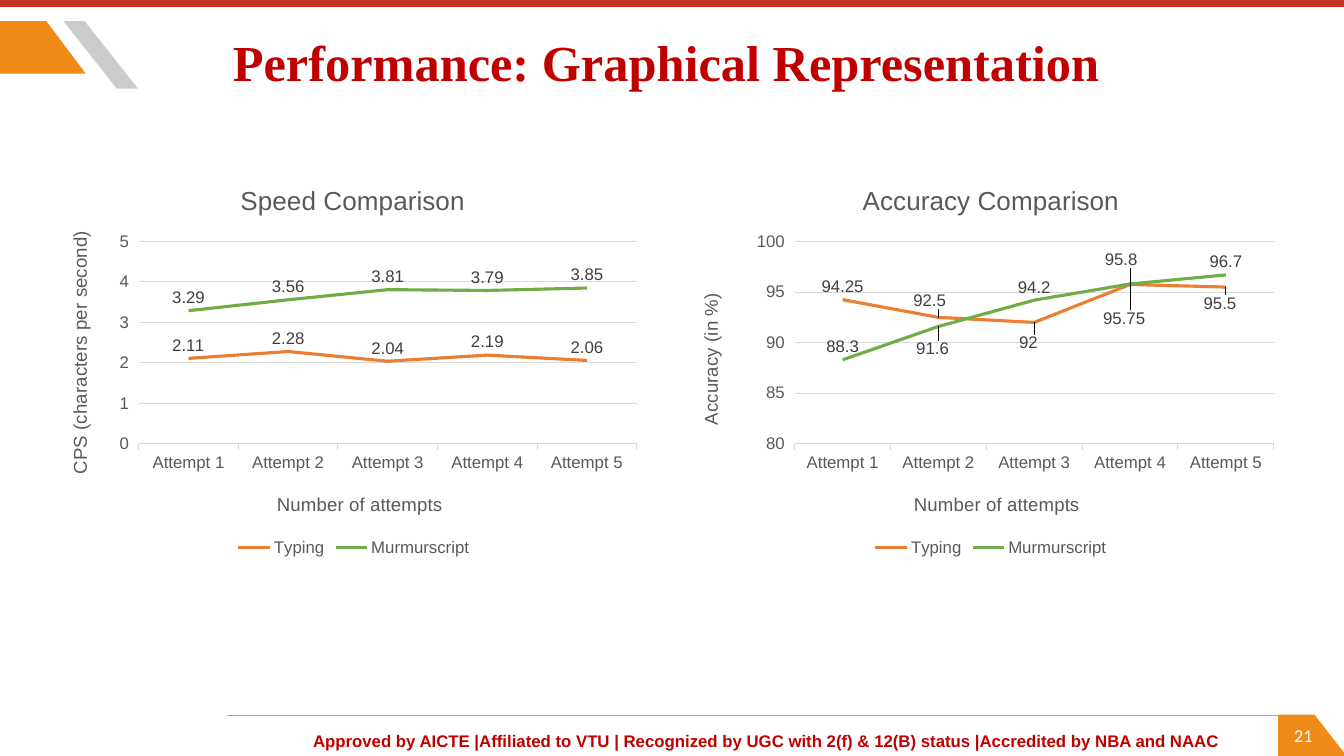
from lxml import etree
from pptx import Presentation, util as u
from pptx.chart.data import CategoryChartData
from pptx.dml.color import RGBColor
from pptx.enum import chart as ch, shapes, text
from pptx.oxml.ns import qn

RED = RGBColor(0xC0, 0x00, 0x00)
BAR_RED = RGBColor(0xC4, 0x37, 0x27)
ORANGE = RGBColor(0xF1, 0x8B, 0x17)
GREY = RGBColor(0x7F, 0x7F, 0x7F)
RULE_GREY = RGBColor(0xA5, 0xA5, 0xA5)
WHITE = RGBColor(0xFF, 0xFF, 0xFF)
AXIS_TEXT = RGBColor(0x59, 0x59, 0x59)
LABEL_TEXT = RGBColor(0x40, 0x40, 0x40)
GRID_LINE = RGBColor(0xD9, 0xD9, 0xD9)
SERIES_COLOURS = [RGBColor(0xED, 0x7D, 0x31), RGBColor(0x70, 0xAD, 0x47)]

# The slide is a grid of cells a tenth of an inch wide and high.
CELL = u.Inches(0.1)
COLUMNS, ROWS = 133.33, 75

TITLE = "Performance: Graphical Representation"
FOOTER = ("Approved by AICTE |Affiliated to VTU | Recognized by UGC with 2(f) & 12(B) status "
          "|Accredited by NBA and NAAC")
PAGE = "21"
ATTEMPTS = [f"Attempt {number}" for number in range(1, 6)]
CATEGORY_TITLE = "Number of attempts"
SERIES_NAMES = ["Typing", "Murmurscript"]

# Corner points in cells, fill, alpha in percent
ORNAMENTS = [
    ([(4.6, 2.1), (0, 2.1), (0, 7.3), (8.5, 7.3)], ORANGE, 100),
    ([(8.4, 2.1), (6.3, 2.1), (11.6, 8.8), (13.7, 8.8)], GREY, 40),
    ([(130.4, 70.9), (126.8, 70.9), (126.8, 75), (133.6, 75)], ORANGE, 100),
]

# Layouts are shares of the chart; "moved" shifts single labels, also in shares,
# by (series, point).
CHART_TOP, CHART_WIDTH, CHART_HEIGHT = 16.5, 58.6, 39.1
CHARTS = [
    dict(left=5.8, title="Speed Comparison", value_title="CPS (characters per second)",
         scale=(0, 5, 1),
         values=[[2.11, 2.28, 2.04, 2.19, 2.06], [3.29, 3.56, 3.81, 3.79, 3.85]],
         title_at=(0.3, 0.03), value_title_at=(0.01, 0.155),
         plot=(0.136, 0.191, 0.843, 0.513), moved={}),
    dict(left=69, title="Accuracy Comparison", value_title="Accuracy (in %)",
         scale=(80, 100, 5),
         values=[[94.25, 92.5, 92, 95.75, 95.5], [88.3, 91.6, 94.2, 95.8, 96.7]],
         title_at=(0.275, 0.03), value_title_at=(0, 0.313),
         plot=(0.168, 0.191, 0.811, 0.513),
         moved={(0, 1): (-0.015, -0.01), (0, 2): (-0.01, 0.085), (0, 3): (-0.01, 0.12),
                (0, 4): (-0.01, 0.075), (1, 1): (-0.01, 0.09), (1, 3): (-0.015, -0.03)}),
]
CATEGORY_TITLE_AT = (0.364, 0.82)

NO_LEADER_LINES = (
    '<c:extLst xmlns:c="http://schemas.openxmlformats.org/drawingml/2006/chart">'
    '<c:ext uri="{CE6537A1-D6FC-4f65-9D91-7224C49458BB}" '
    'xmlns:c15="http://schemas.microsoft.com/office/drawing/2012/chart">'
    '<c15:showLeaderLines val="0"/></c:ext></c:extLst>')


def cells(*lengths):
    return [round(length * CELL) for length in lengths]


def style_font(font, size, colour, name="Arial", bold=False):
    font.size, font.name, font.bold = u.Pt(size), name, bold
    font.color.rgb = colour


def add_text(slide, box, content, anchor=text.MSO_ANCHOR.TOP, **style):
    frame = slide.shapes.add_textbox(*cells(*box)).text_frame
    frame.word_wrap, frame.vertical_anchor = True, anchor
    paragraph = frame.paragraphs[0]
    paragraph.alignment = text.PP_ALIGN.CENTER
    run = paragraph.add_run()
    run.text = content
    style_font(run.font, **style)


def paint(shape, colour, alpha=100):
    shape.shadow.inherit = False
    shape.fill.solid()
    shape.fill.fore_color.rgb = colour
    shape.line.fill.background()
    if alpha < 100:
        for node in shape.element.xpath("./p:spPr/a:solidFill/a:srgbClr"):
            etree.SubElement(node, qn("a:alpha")).set("val", str(alpha * 1000))


def add_ornament(slide, corners, colour, alpha):
    points = [(x * 10, y * 10) for x, y in corners]
    builder = slide.shapes.build_freeform(*points[0], scale=CELL / 10)
    builder.add_line_segments(points[1:], close=True)
    paint(builder.convert_to_shape(), colour, alpha)


def set_layout(parent, index, shares, fixed=True):
    """Give a chart part a manual layout; an offset from its usual place if not fixed."""
    for old in parent.findall(qn("c:layout")):
        parent.remove(old)
    layout = etree.Element(qn("c:layout"))
    manual = etree.SubElement(layout, qn("c:manualLayout"))
    settings = []
    if len(shares) == 4:
        settings.append(("layoutTarget", "inner"))
    if fixed:
        settings += [("xMode", "edge"), ("yMode", "edge")]
    for tag, value in settings + list(zip("xywh", shares)):
        etree.SubElement(manual, qn(f"c:{tag}")).set("val", str(value))
    parent.insert(index, layout)


def set_title(frame, content, size):
    frame.text = content
    style_font(frame.paragraphs[0].runs[0].font, size, AXIS_TEXT)


def style_axis(axis, title):
    set_title(axis.axis_title.text_frame, title, 13.3)
    style_font(axis.tick_labels.font, 12, AXIS_TEXT)
    axis.major_tick_mark = ch.XL_TICK_MARK.OUTSIDE


def style_series(series, colour):
    series.smooth = False
    series.format.line.color.rgb = colour
    series.format.line.width = u.Pt(2.25)
    series.marker.style = ch.XL_MARKER_STYLE.NONE
    labels = series.data_labels
    labels.show_value = True
    labels.position = ch.XL_LABEL_POSITION.ABOVE
    style_font(labels.font, 12, LABEL_TEXT)


def add_line_chart(slide, item):
    data = CategoryChartData()
    data.categories = ATTEMPTS
    for name, values in zip(SERIES_NAMES, item["values"]):
        data.add_series(name, values)
    box = cells(item["left"], CHART_TOP, CHART_WIDTH, CHART_HEIGHT)
    chart = slide.shapes.add_chart(ch.XL_CHART_TYPE.LINE, *box, data).chart
    chart.font.size, chart.font.name = u.Pt(10), "Arial"
    set_title(chart.chart_title.text_frame, item["title"], 18.6)
    chart.has_legend = True
    chart.legend.position = ch.XL_LEGEND_POSITION.BOTTOM
    chart.legend.include_in_layout = False
    style_font(chart.legend.font, 12, AXIS_TEXT)

    category, value = chart.category_axis, chart.value_axis
    style_axis(category, CATEGORY_TITLE)
    style_axis(value, item["value_title"])
    value.minimum_scale, value.maximum_scale, value.major_unit = item["scale"]
    value.format.line.fill.background()
    for line in (category.format.line, value.major_gridlines.format.line):
        line.color.rgb, line.width = GRID_LINE, u.Pt(0.75)

    plot = chart.plots[0]
    plot.vary_by_categories = False
    for series, colour in zip(plot.series, SERIES_COLOURS):
        style_series(series, colour)
    for (row, point), offset in item["moved"].items():
        label = plot.series[row].points[point].data_label
        label.position = ch.XL_LABEL_POSITION.ABOVE
        style_font(label.font, 12, LABEL_TEXT)
        query = f".//c:ser[c:idx/@val='{row}']/c:dLbls/c:dLbl[c:idx/@val='{point}']"
        set_layout(chart.element.xpath(query)[0], 1, offset, fixed=False)
    for labels in chart.element.xpath(".//c:ser/c:dLbls"):
        labels.append(etree.fromstring(NO_LEADER_LINES))

    for query, index, shares in [
        ("./c:chart/c:title", 1, item["title_at"]),
        (".//c:catAx/c:title", 1, CATEGORY_TITLE_AT),
        (".//c:valAx/c:title", 1, item["value_title_at"]),
        (".//c:plotArea", 0, item["plot"]),
    ]:
        set_layout(chart.element.xpath(query)[0], index, shares)
    for body in chart.element.xpath(".//c:valAx/c:title//a:bodyPr"):
        body.set("rot", "-5400000")
        body.set("vert", "horz")


def main():
    presentation = Presentation()
    presentation.slide_width, presentation.slide_height = cells(COLUMNS, ROWS)
    slide = presentation.slides.add_slide(presentation.slide_layouts[6])

    rule = slide.shapes.add_connector(shapes.MSO_CONNECTOR.STRAIGHT, *cells(126.8, 71, 22.5, 71))
    rule.line.color.rgb, rule.line.width = RULE_GREY, u.Pt(1)
    etree.SubElement(rule.element.spPr, qn("a:effectLst"))
    top_bar = slide.shapes.add_shape(shapes.MSO_SHAPE.RECTANGLE, *cells(0, 0, COLUMNS, 0.7))
    paint(top_bar, BAR_RED)
    for ornament in ORNAMENTS:
        add_ornament(slide, *ornament)

    add_text(slide, (127.1, 71.4, 4.4, 4), PAGE, size=13, colour=WHITE, name="Calibri")
    add_text(slide, (27.2, 72, 97.7, 3), FOOTER, anchor=text.MSO_ANCHOR.MIDDLE,
             size=12, colour=RED, bold=True)
    add_text(slide, (20.2, 2.6, 91.8, 7.1), TITLE, size=36, colour=RED,
             name="Times New Roman", bold=True)
    for item in CHARTS:
        add_line_chart(slide, item)
    presentation.save("out.pptx")


if __name__ == "__main__":
    main()
